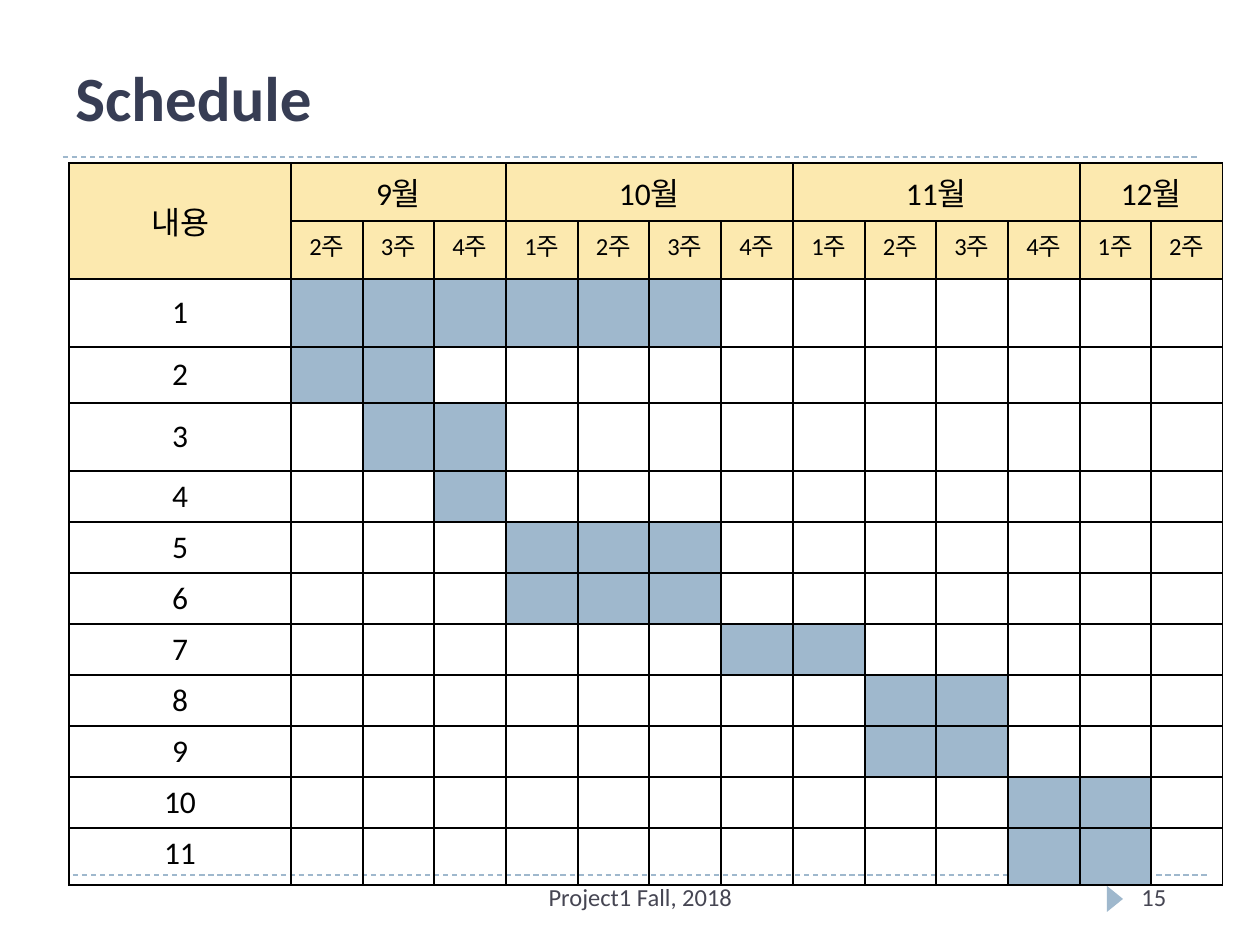
from lxml import etree
from pptx import Presentation
from pptx.dml.color import RGBColor
from pptx.enum.dml import MSO_LINE
from pptx.enum.shapes import MSO_CONNECTOR, MSO_SHAPE
from pptx.enum.text import MSO_ANCHOR, PP_ALIGN
from pptx.oxml.ns import qn
from pptx.util import Pt

PX = 914400 // 126
LEFT, CENTER = PP_ALIGN.LEFT, PP_ALIGN.CENTER
TOP, MIDDLE, BOTTOM = MSO_ANCHOR.TOP, MSO_ANCHOR.MIDDLE, MSO_ANCHOR.BOTTOM
THEME = {
    "font": "Calibri",
    "title": "373D54",
    "footer": "464653",
    "ink": "000000",
    "header": "FCE9AF",
    "accent": "9FB8CD",
    "title_size": 36,
    "body_size": 18,
    "small_size": 14,
}


def write(frame, words, size, color, align=CENTER, bold=False):
    para = frame.paragraphs[0]
    para.alignment = align
    span = para.add_run()
    span.text = words
    formats = {"name": THEME["font"], "size": Pt(THEME[size]), "bold": bold}
    for name, value in formats.items():
        setattr(span.font, name, value)
    span.font.color.rgb = RGBColor.from_string(THEME[color])


def paint(fill, color):
    fill.solid()
    fill.fore_color.rgb = RGBColor.from_string(THEME[color])


deck = Presentation()
deck.slide_width, deck.slide_height = 1260 * PX, 945 * PX
page = deck.slides.add_slide(deck.slide_layouts[6])

for left, right, y in [(73, 1207, 875), (63, 1197, 157)]:
    rule = page.shapes.add_connector(
        MSO_CONNECTOR.STRAIGHT, left * PX, y * PX, right * PX, y * PX)
    rule.line.color.rgb = RGBColor.from_string(THEME["accent"])
    rule.line.width = Pt(0.75)
    rule.line.dash_style = MSO_LINE.DASH
    etree.SubElement(rule.element.spPr, qn("a:effectLst"))

marker = page.shapes.add_shape(
    MSO_SHAPE.ISOSCELES_TRIANGLE, 1102 * PX, 891 * PX, 26 * PX, 16 * PX)
marker.rotation = 90
marker.shadow.inherit = False
marker.line.fill.background()
paint(marker.fill, "accent")

labels = [
    ("Schedule", (63, 50, 1134, 90), "title_size", "title", LEFT, BOTTOM, True),
    ("Project1 Fall, 2018", (399, 876, 483, 50), "small_size", "footer", CENTER, TOP, False),
    ("15", (1129, 876, 94, 50), "small_size", "footer", LEFT, TOP, False),
]
for words, place, size, color, align, anchor, bold in labels:
    box = page.shapes.add_textbox(*(length * PX for length in place))
    box.text_frame.word_wrap = True
    box.text_frame.vertical_anchor = anchor
    write(box.text_frame, words, size, color, align, bold)

months = [("9월", 3), ("10월", 4), ("11월", 4), ("12월", 2)]
weeks = [2, 3, 4, 1, 2, 3, 4, 1, 2, 3, 4, 1, 2]
tasks = [(1, 6), (1, 2), (2, 3), (3, 3), (4, 6), (4, 6),
         (7, 8), (9, 10), (9, 10), (11, 12), (11, 12)]
row_heights = [58, 58, 68, 56, 68] + [51] * 7 + [57]
label_width, weeks_width = 222, 932
week_edges = [round(weeks_width * i / len(weeks)) for i in range(len(weeks) + 1)]
column_widths = [label_width] + [b - a for a, b in zip(week_edges, week_edges[1:])]

table = page.shapes.add_table(
    len(row_heights), len(column_widths), 69 * PX, 163 * PX,
    sum(column_widths) * PX, sum(row_heights) * PX).table
table.first_row = False
table.horz_banding = False
for column, width in zip(table.columns, column_widths):
    column.width = width * PX
for row, height in zip(table.rows, row_heights):
    row.height = height * PX

for r, row in enumerate(table.rows):
    for c, cell in enumerate(row.cells):
        properties = cell._tc.get_or_add_tcPr()
        for side in ("lnL", "lnR", "lnT", "lnB"):
            border = etree.SubElement(properties, qn(f"a:{side}"), w=str(Pt(1)))
            solid = etree.SubElement(border, qn("a:solidFill"))
            etree.SubElement(solid, qn("a:srgbClr"), val=THEME["ink"])
        if r < 2:
            paint(cell.fill, "header")
        elif tasks[r - 2][0] <= c <= tasks[r - 2][1]:
            paint(cell.fill, "accent")
        else:
            cell.fill.background()

corner = table.cell(0, 0)
corner.merge(table.cell(1, 0))
corner.vertical_anchor = MIDDLE
write(corner.text_frame, "내용", "body_size", "ink")

first = 1
for month, count in months:
    cell = table.cell(0, first)
    cell.merge(table.cell(0, first + count - 1))
    write(cell.text_frame, month, "body_size", "ink")
    first += count

for c, week in enumerate(weeks, 1):
    write(table.cell(1, c).text_frame, f"{week}주", "small_size", "ink")

for number in range(1, len(tasks) + 1):
    cell = table.cell(number + 1, 0)
    cell.vertical_anchor = MIDDLE if number < len(tasks) else TOP
    write(cell.text_frame, str(number), "body_size", "ink")

deck.save("out.pptx")
